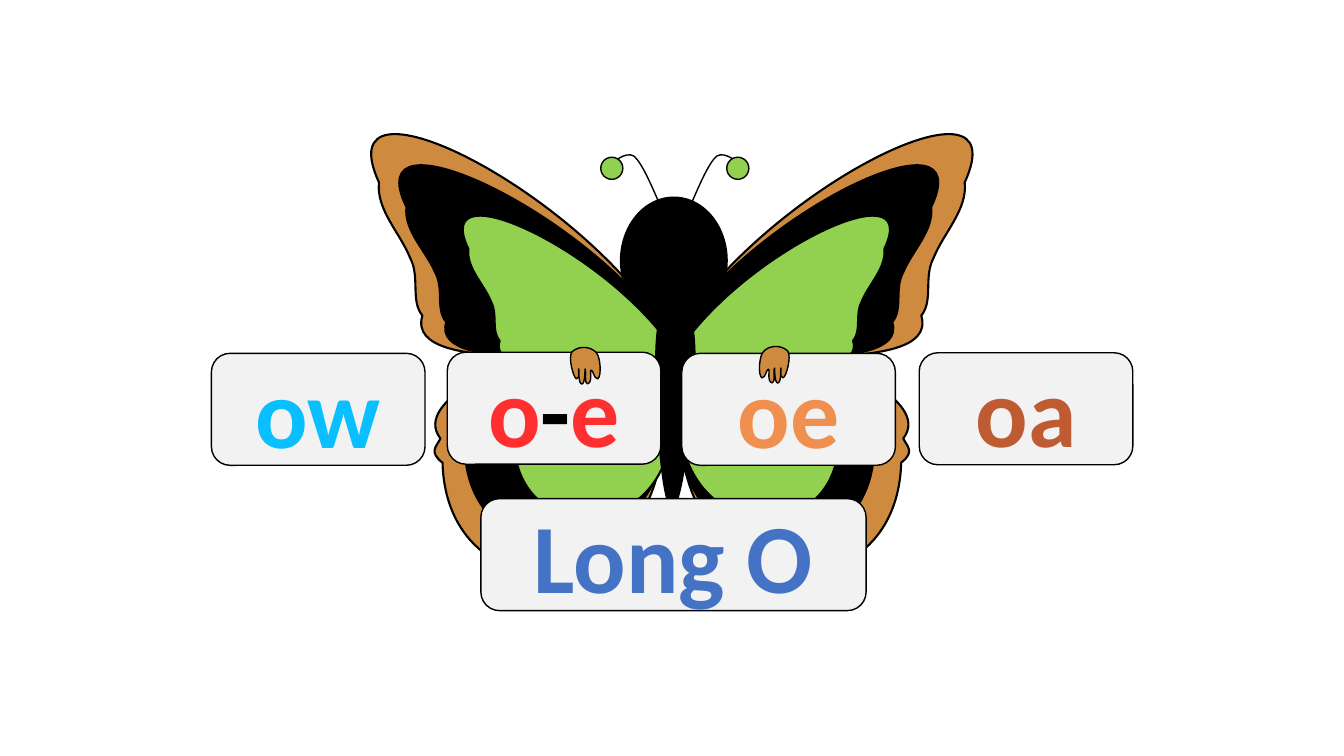
from lxml.etree import SubElement
from pptx import Presentation
from pptx.dml.color import RGBColor as RGB
from pptx.enum.shapes import MSO_SHAPE as SHAPE
from pptx.enum.text import MSO_ANCHOR as ANCHOR, PP_ALIGN as ALIGN
from pptx.oxml.ns import qn
from pptx.util import Pt

COLORS = {
    "black": "000000", "tan": "CE8B3F", "green": "92D050", "card": "F2F2F2",
    "ow": "09BFFF", "o-e": "FF2F2F", "oe": "F09050", "oa": "BE5B33",
    "long": "4472C4",
}

WING_FRAME = (265, 95.8, 210.2, 313.2)
WING = [
    (270.7, 130.3),
    (231.1, 43.9, 412.6, 134.6, 475.9, 237.6),
    (473.8, 308.2),
    (469.4, 437, 319, 439.9, 316.1, 330.5),
    (306, 322.6, 311.8, 319, 314.6, 313.2),
    (293, 285.1, 373.7, 257, 365.8, 254.9),
    (335.5, 252.7, 294.5, 249.8, 301.7, 225.4),
    (293, 214.6, 300.2, 198, 293, 184.3),
    (285.8, 166.3, 268.6, 149.8, 270.7, 130.3),
]
BODY_FRAME = (468.7, 206.6, 27.4, 155.6)
BODY = [
    (468.7, 255.6),
    (468.7, 229.7, 474.5, 206.6, 482.4, 206.6),
    (489.6, 206.6, 496.1, 228.2, 496.1, 255.6),
    (496.1, 282.2, 487.4, 362.2, 480.2, 362.2),
    (472.3, 362.2, 468, 281.5, 468.7, 255.6),
]
ANTENNA_FRAME = (493.2, 110.9, 36.7, 36)
ANTENNA = [
    (493.2, 146.9),
    (499.7, 131.8, 506.2, 116.6, 511.9, 111.6),
    (518.4, 107.3, 529.2, 118.1, 529.2, 118.1),
]
HAND_FRAME = (540, 247.7, 26.6, 24.5)
HAND = [
    (541.4, 266.4),
    (539.3, 263.5, 545, 250.6, 548.6, 249.1),
    (553, 246.2, 561.6, 247.7, 565.2, 254.2),
    (566.6, 259.2, 558, 271.4, 555.8, 271.4),
    (553, 270, 557.3, 264.2, 556.6, 264.2),
    (555.8, 265, 553.7, 274.3, 550.8, 273.6),
    (548.6, 272.2, 553, 261.4, 552.2, 262.8),
    (550.8, 264.2, 549.4, 272.9, 547.2, 272.2),
    (543.6, 270, 549.4, 262.1, 547.9, 262.1),
    (546.5, 261.4, 544.3, 267.1, 541.4, 266.4),
]


class Sketch:
    """Draws styled elements on the current slide."""

    def __init__(self, slide, font="Calibri", size=69.9):
        """Keep the slide and its text style."""
        self.s, self.font, self.size = slide, font, size

    def style(self, sp, fill, line):
        """Set fill and black line, without shadow."""
        sp.shadow.inherit = False
        if fill:
            sp.fill.solid()
            sp.fill.fore_color.rgb = RGB.from_string(COLORS[fill])
        else:
            sp.fill.background()
        sp.line.color.rgb = RGB.from_string(COLORS["black"])
        sp.line.width = Pt(line)
        return sp

    def outline(self, outline, frame, box, fill, line=1, flip=False, rotation=0):
        """Fit a curved outline from its frame into a box, mirrored if asked."""
        left, top, width, height = (Pt(v) for v in box)
        builder = self.s.shapes.build_freeform(left, top, scale=1.0)
        builder.add_line_segments([(left + width, top + height)], close=False)
        sp = self.style(builder.convert_to_shape(), fill, line)
        curve = sp._element.find(".//" + qn("a:path"))
        for child in list(curve):
            curve.remove(child)
        for i, part in enumerate(outline):
            tag = "a:moveTo" if i == 0 else "a:lnTo" if len(part) == 2 else "a:cubicBezTo"
            step = SubElement(curve, qn(tag))
            for x, y in zip(part[::2], part[1::2]):
                u, v = (x - frame[0]) / frame[2], (y - frame[1]) / frame[3]
                u = 1 - u if flip else u
                SubElement(step, qn("a:pt"), x=str(round(u * width)), y=str(round(v * height)))
        if fill:
            SubElement(curve, qn("a:close"))
        sp.rotation = rotation

    def shape(self, kind, box, fill, line=1):
        """Add a preset shape."""
        sp = self.s.shapes.add_shape(kind, *(Pt(v) for v in box))
        return self.style(sp, fill, line)

    def card(self, box, runs):
        """Add a rounded card with coloured, outlined letters."""
        tf = self.shape(SHAPE.ROUNDED_RECTANGLE, box, "card").text_frame
        tf.margin_left = tf.margin_right = tf.margin_top = tf.margin_bottom = 0
        tf.vertical_anchor = ANCHOR.MIDDLE
        p = tf.paragraphs[0]
        p.alignment = ALIGN.CENTER
        for text, color in runs:
            r = p.add_run()
            r.text = text
            r.font.name, r.font.size, r.font.bold = self.font, Pt(self.size), True
            r.font.color.rgb = RGB.from_string(COLORS[color])
            rpr = r.font._element
            ln = SubElement(rpr, qn("a:ln"), w=str(Pt(0.75)))
            fill = SubElement(ln, qn("a:solidFill"))
            SubElement(fill, qn("a:srgbClr"), val=COLORS["black"])
            rpr.insert(0, ln)


def main():
    """Build the butterfly slide."""
    prs = Presentation()
    prs.slide_width, prs.slide_height = Pt(960), Pt(540)
    sketch = Sketch(prs.slides.add_slide(prs.slide_layouts[6]))

    for box, fill, flip in [
        (WING_FRAME, "tan", False),
        ((484.6, 95.8, 210.2, 313.2), "tan", True),
        ((481.7, 118.1, 188.6, 270.7), "black", True),
        ((285.1, 118.1, 193, 270.7), "black", False),
        ((484.6, 154.1, 151.2, 216), "green", True),
        ((330.5, 154.1, 151.2, 216), "green", False),
    ]:
        sketch.outline(WING, WING_FRAME, box, fill, 1.5, flip)

    sketch.outline(BODY, BODY_FRAME, BODY_FRAME, "black", 1.5)
    sketch.shape(SHAPE.OVAL, (443.5, 141.1, 75.6, 90), "black", 1.5)
    for left, knob_left, flip in [(493.2, 519.1, False), (434.9, 429.1, True)]:
        sketch.outline(ANTENNA, ANTENNA_FRAME, (left, *ANTENNA_FRAME[1:]), None, flip=flip)
        sketch.shape(SHAPE.OVAL, (knob_left, 112.3, 15.8, 15.8), "green")

    for left, top, width, runs in [
        (151, 252.4, 152.6, [("ow", "ow")]),
        (319.5, 251.6, 152.6, [("o", "o-e"), ("-", "black"), ("e", "o-e")]),
        (487, 252.4, 152.6, [("oe", "oe")]),
        (656.6, 252, 152.6, [("oa", "oa")]),
        (343.5, 356.2, 275.2, [("Long O", "long")]),
    ]:
        sketch.card((left, top, width, 80), runs)

    for left, top, flip, rotation in [(540, 247.7, False, -19.3), (404.6, 248.4, True, 19.3)]:
        box = (left, top, *HAND_FRAME[2:])
        sketch.outline(HAND, HAND_FRAME, box, "tan", flip=flip, rotation=rotation)

    prs.save("out.pptx")


if __name__ == "__main__":
    main()
